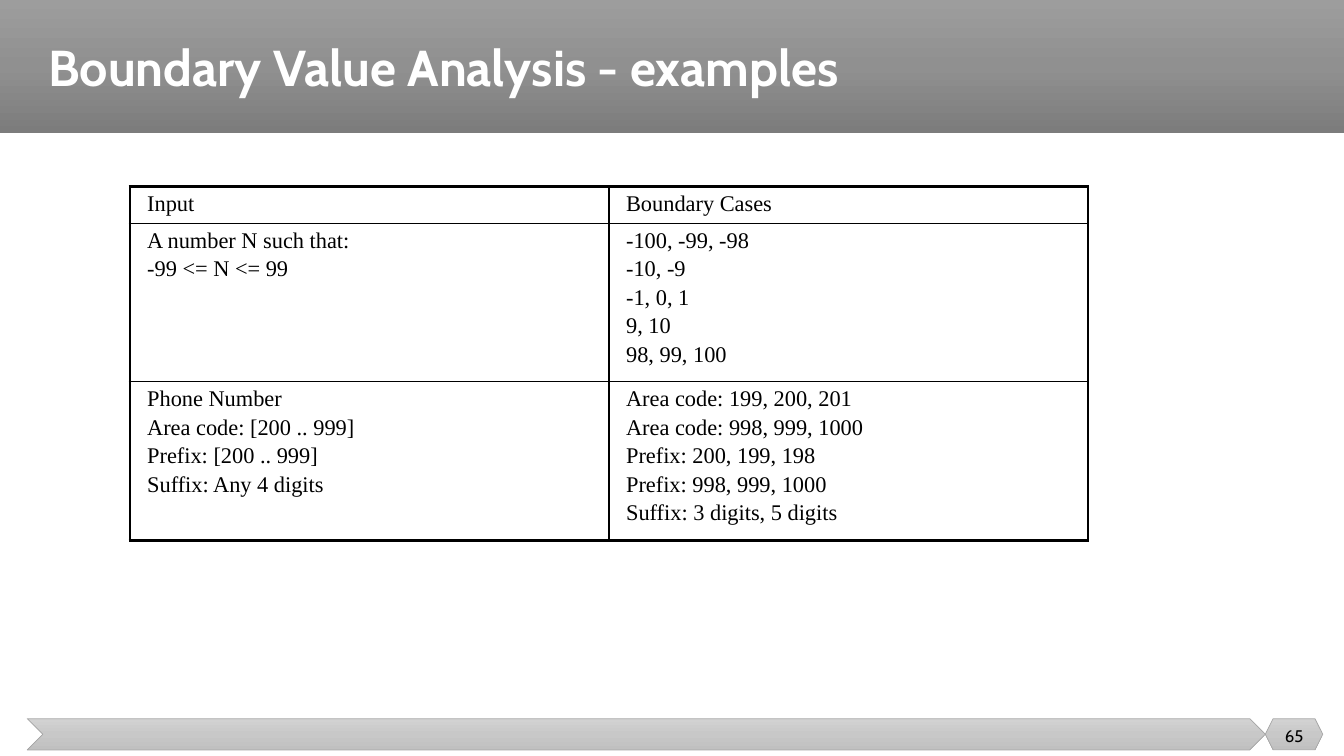
import copy

import lxml.etree
import pptx
import pptx.dml.color
import pptx.enum.shapes
import pptx.enum.text
import pptx.oxml.ns
import pptx.util

Inches = pptx.util.Inches
Pt = pptx.util.Pt
RGBColor = pptx.dml.color.RGBColor
SHAPES = pptx.enum.shapes.MSO_SHAPE
ALIGN = pptx.enum.text.PP_ALIGN
ANCHOR = pptx.enum.text.MSO_ANCHOR
qn = pptx.oxml.ns.qn

WHITE = RGBColor(0xFF, 0xFF, 0xFF)
BLACK = RGBColor(0, 0, 0)
FOOTER_LINE = RGBColor(0xA5, 0xA5, 0xA5)
HEADER_SHADES = (RGBColor(0x9D, 0x9D, 0x9D), RGBColor(0x90, 0x90, 0x90), RGBColor(0x7C, 0x7C, 0x7C))
FOOTER_SHADES = (RGBColor(0xD2, 0xD2, 0xD2), RGBColor(0xC8, 0xC8, 0xC8), RGBColor(0xC0, 0xC0, 0xC0))

OUTER_WIDTH = 2.25
INNER_WIDTH = 1
ROW_HEIGHTS = (0.35, 1.51, 1.51)
COLUMN_WIDTH = 4.75
BOUNDARY_ROWS = (
    (("Input",), ("Boundary Cases",)),
    (
        ("A number N such that:", "-99 <= N <= 99"),
        ("-100, -99, -98", "-10, -9", "-1, 0, 1", "9, 10", "98, 99, 100"),
    ),
    (
        ("Phone Number", "Area code: [200 .. 999]", "Prefix: [200 .. 999]", "Suffix: Any 4 digits"),
        (
            "Area code: 199, 200, 201",
            "Area code: 998, 999, 1000",
            "Prefix: 200, 199, 198",
            "Prefix: 998, 999, 1000",
            "Suffix: 3 digits, 5 digits",
        ),
    ),
)


def add_run(paragraph, text, font_name, size, color, bold=False):
    run = paragraph.add_run()
    run.text = text
    run.font.name = font_name
    run.font.size = Pt(size)
    run.font.color.rgb = color
    run.font.bold = bold


def add_band(slide, preset, left, top, width, height, shades, outline=None, point=None):
    band = slide.shapes.add_shape(preset, Inches(left), Inches(top), Inches(width), Inches(height))
    band.shadow.inherit = False
    if point is not None:
        band.adjustments[0] = point
    band.fill.gradient()
    band.fill.gradient_angle = 270
    stop_list = next(band.element.iter(qn("a:gsLst")))
    stop_list.insert(1, copy.deepcopy(stop_list[0]))
    for index, (stop, shade) in enumerate(zip(band.fill.gradient_stops, shades)):
        stop.position = index / 2
        stop.color.rgb = shade
    if outline is None:
        band.line.fill.background()
    else:
        band.line.color.rgb = outline
        band.line.width = Pt(0.5)


def add_label(slide, left, top, width, height, text, size, color, bold=False, align=ALIGN.LEFT):
    label = slide.shapes.add_textbox(Inches(left), Inches(top), Inches(width), Inches(height))
    frame = label.text_frame
    frame.word_wrap = True
    frame.vertical_anchor = ANCHOR.MIDDLE
    paragraph = frame.paragraphs[0]
    paragraph.alignment = align
    add_run(paragraph, text, "Cabin", size, color, bold)


def set_borders(cell, widths):
    properties = cell._tc.get_or_add_tcPr()
    for side, width in widths.items():
        border = lxml.etree.SubElement(properties, qn(f"a:ln{side}"), w=str(Pt(width)))
        fill = lxml.etree.SubElement(border, qn("a:solidFill"))
        lxml.etree.SubElement(fill, qn("a:srgbClr"), val=str(BLACK))


def fill_cell(cell, lines):
    cell.margin_left = cell.margin_right = Inches(0.17)
    cell.margin_top = cell.margin_bottom = Inches(0.05)
    cell.vertical_anchor = ANCHOR.TOP
    cell.fill.background()
    frame = cell.text_frame
    for index, line in enumerate(lines):
        paragraph = frame.add_paragraph() if index else frame.paragraphs[0]
        paragraph.space_before = Pt(2.5 if index else 0)
        add_run(paragraph, line, "Times New Roman", 16, BLACK)


def add_boundary_table(slide, left, top):
    last_row = len(BOUNDARY_ROWS) - 1
    last_column = len(BOUNDARY_ROWS[0]) - 1
    table = slide.shapes.add_table(
        last_row + 1, last_column + 1, Inches(left), Inches(top),
        Inches(COLUMN_WIDTH * (last_column + 1)), Inches(sum(ROW_HEIGHTS)),
    ).table
    table.first_row = False
    table.horz_banding = False
    for column in table.columns:
        column.width = Inches(COLUMN_WIDTH)
    for row_index, (height, entries) in enumerate(zip(ROW_HEIGHTS, BOUNDARY_ROWS)):
        table.rows[row_index].height = Inches(height)
        for column_index, lines in enumerate(entries):
            outer_sides = {
                "L": column_index == 0,
                "R": column_index == last_column,
                "T": row_index == 0,
                "B": row_index == last_row,
            }
            cell = table.cell(row_index, column_index)
            set_borders(cell, {
                side: OUTER_WIDTH if outer else INNER_WIDTH
                for side, outer in outer_sides.items()
            })
            fill_cell(cell, lines)


def main():
    presentation = pptx.Presentation()
    presentation.slide_width = Inches(13.33)
    presentation.slide_height = Inches(7.5)
    slide = presentation.slides.add_slide(presentation.slide_layouts[6])

    add_band(slide, SHAPES.RECTANGLE, 0, 0, 13.33, 1.32, HEADER_SHADES)
    add_band(slide, SHAPES.CHEVRON, 0.27, 7.13, 12.28, 0.31, FOOTER_SHADES, FOOTER_LINE, 0.5)
    add_band(slide, SHAPES.HEXAGON, 12.55, 7.13, 0.57, 0.31, FOOTER_SHADES, FOOTER_LINE, 0.25)
    add_label(slide, 0.38, 0, 12.74, 1.32, "Boundary Value Analysis - examples", 36, WHITE, bold=True)
    add_boundary_table(slide, 1.29, 1.85)
    add_label(slide, 12.55, 7.1, 0.57, 0.4, "65", 12, BLACK, align=ALIGN.CENTER)

    presentation.save("out.pptx")


if __name__ == "__main__":
    main()
